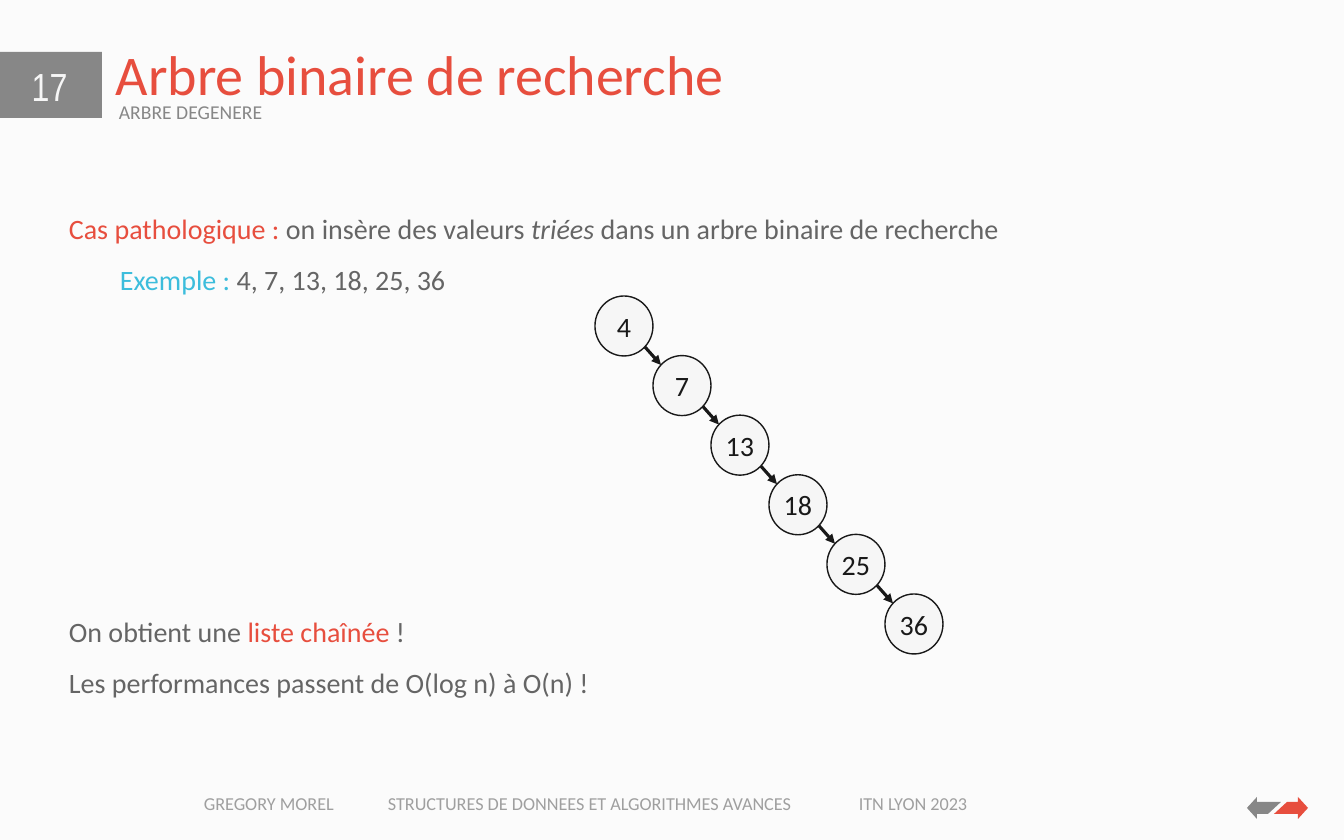
from lxml import etree
from pptx import Presentation
from pptx.dml.color import RGBColor
from pptx.enum.shapes import MSO_CONNECTOR, MSO_SHAPE
from pptx.enum.text import MSO_ANCHOR, PP_ALIGN
from pptx.oxml.ns import qn
from pptx.util import Pt

RECT, ELLIPSE = MSO_SHAPE.RECTANGLE, MSO_SHAPE.OVAL
STRAIGHT = MSO_CONNECTOR.STRAIGHT
TOP, MIDDLE, BOTTOM = MSO_ANCHOR.TOP, MSO_ANCHOR.MIDDLE, MSO_ANCHOR.BOTTOM
LEFT, CENTER = PP_ALIGN.LEFT, PP_ALIGN.CENTER

PAPER = RGBColor(0xFB, 0xFB, 0xFB)
LIGHT = RGBColor(0xF6, 0xF6, 0xF6)
GREY = RGBColor(0x87, 0x87, 0x87)
PALE_GREY = RGBColor(0x9F, 0x9F, 0x9F)
TEXT_GREY = RGBColor(0x65, 0x65, 0x65)
RED = RGBColor(0xE7, 0x4E, 0x3E)
BLUE = RGBColor(0x3C, 0xBD, 0xDC)
INK = RGBColor(0x19, 0x19, 0x19)

# Content
TITLE = "Arbre binaire de recherche"
SUBTITLE = "ARBRE DEGENERE"
PAGE = "17"
# Each line: left indent in px, then runs of (text, colour, italic)
PROBLEM = [
    (0, [("Cas pathologique :", RED, False),
         (" on insère des valeurs ", TEXT_GREY, False),
         ("triées", TEXT_GREY, True),
         (" dans un arbre binaire de recherche", TEXT_GREY, False)]),
    (51, [("Exemple : ", BLUE, False),
          ("4, 7, 13, 18, 25, 36", TEXT_GREY, False)]),
]
CONCLUSION = [
    (0, [("On obtient une ", TEXT_GREY, False),
         ("liste chaînée", RED, False),
         (" !", TEXT_GREY, False)]),
    (0, [("Les performances passent de O(log n) à O(n) !", TEXT_GREY, False)]),
]
KEYS = [4, 7, 13, 18, 25, 36]
FOOTER = [  # text, left, width
    ("GREGORY MOREL", 194, 160),
    ("STRUCTURES DE DONNEES ET ALGORITHMES AVANCES", 378, 440),
    ("ITN LYON 2023", 849, 160),
]

# Layout in px
SLIDE_W, SLIDE_H = 1344, 840
SCALE = 12192000 / SLIDE_W
NODE_W, NODE_H = 58, 60
FIRST_NODE, LAST_NODE = (595, 296), (885, 594)
EDGE_START, EDGE_END = (50, 51), (66, 69)  # offsets from the parent's corner
NEXT_ARROW = [(1298, 802), (1298, 797), (1308, 808), (1298, 819),
              (1298, 814), (1274, 814), (1287, 802)]
ARROWS_CENTRE = (1277.5, 808)


def px(value):
    return round(value * SCALE)


def add_box(left, top, width, height, lines, size, anchor=TOP,
            spacing=1.0, align=LEFT, font="Calibri"):
    box = slide.shapes.add_textbox(px(left), px(top), px(width), px(height))
    frame = box.text_frame
    frame.word_wrap = True
    frame.vertical_anchor = anchor
    for i, (indent, runs) in enumerate(lines):
        paragraph = frame.add_paragraph() if i else frame.paragraphs[0]
        paragraph.alignment = align
        paragraph.line_spacing = spacing
        paragraph.font.size = Pt(size)
        paragraph.font.name = font
        if indent:
            paragraph._p.get_or_add_pPr().set("marL", str(px(indent)))
        for text, color, italic in runs:
            run = paragraph.add_run()
            run.text = text
            run.font.color.rgb = color
            if italic:
                run.font.italic = True


def plain(text, color):
    return [(0, [(text, color, False)])]


def paint(shape, fill):
    shape.shadow.inherit = False
    shape.fill.solid()
    shape.fill.fore_color.rgb = fill
    shape.line.fill.background()


def add_node(left, top, key):
    node = slide.shapes.add_shape(ELLIPSE, px(left), px(top), px(NODE_W), px(NODE_H))
    paint(node, LIGHT)
    node.line.color.rgb = INK
    node.line.width = Pt(1)
    frame = node.text_frame
    frame.margin_left = frame.margin_right = frame.margin_top = frame.margin_bottom = 0
    frame.vertical_anchor = MIDDLE
    frame.text = str(key)
    label = frame.paragraphs[0]
    label.alignment = CENTER
    label.font.size = Pt(20)
    label.font.name = "Calibri"
    label.font.color.rgb = INK


def add_edge(left, top):
    (x1, y1), (x2, y2) = EDGE_START, EDGE_END
    edge = slide.shapes.add_connector(
        STRAIGHT, px(left + x1), px(top + y1), px(left + x2), px(top + y2))
    edge.line.color.rgb = INK
    edge.line.width = Pt(2.25)
    etree.SubElement(edge.line._get_or_add_ln(), qn("a:tailEnd"), type="triangle")
    etree.SubElement(edge._element.spPr, qn("a:effectLst"))


def add_outline(points, fill):
    corners = [(px(x), px(y)) for x, y in points]
    builder = slide.shapes.build_freeform(*corners[0])
    builder.add_line_segments(corners[1:], close=True)
    paint(builder.convert_to_shape(), fill)


prs = Presentation()
prs.slide_width, prs.slide_height = px(SLIDE_W), px(SLIDE_H)
slide = prs.slides.add_slide(prs.slide_layouts[6])
slide.background.fill.solid()
slide.background.fill.fore_color.rgb = PAPER

# Header
page_tab = slide.shapes.add_shape(RECT, px(-1), px(52), px(103), px(66))
paint(page_tab, GREY)
add_box(106, 13, 1008, 100, plain(TITLE, RED), 40, anchor=BOTTOM, spacing=0.9)
add_box(9, 57, 81, 51, plain(PAGE, LIGHT), 28, align=CENTER, font="Arial Narrow")
add_box(109, 98, 1008, 49, plain(SUBTITLE, GREY), 14, spacing=0.9)

# Body text
add_box(59, 190, 1232, 112, PROBLEM, 20, spacing=1.5)
add_box(59, 593, 1232, 112, CONCLUSION, 20, spacing=1.5)

# Degenerate tree: nodes evenly spaced on a diagonal
step_x, step_y = ((last - first) / (len(KEYS) - 1)
                  for first, last in zip(FIRST_NODE, LAST_NODE))
corners = [(FIRST_NODE[0] + i * step_x, FIRST_NODE[1] + i * step_y)
           for i in range(len(KEYS))]
for (left, top), key in zip(corners, KEYS):
    add_node(left, top, key)
for left, top in corners[:-1]:
    add_edge(left, top)

# Footer and navigation arrows, the second being the first turned half round
for text, left, width in FOOTER:
    add_box(left, 787, width, 32, plain(text, PALE_GREY), 13)
centre_x, centre_y = ARROWS_CENTRE
add_outline(NEXT_ARROW, RED)
add_outline([(2 * centre_x - x, 2 * centre_y - y) for x, y in NEXT_ARROW], GREY)

prs.save("out.pptx")
